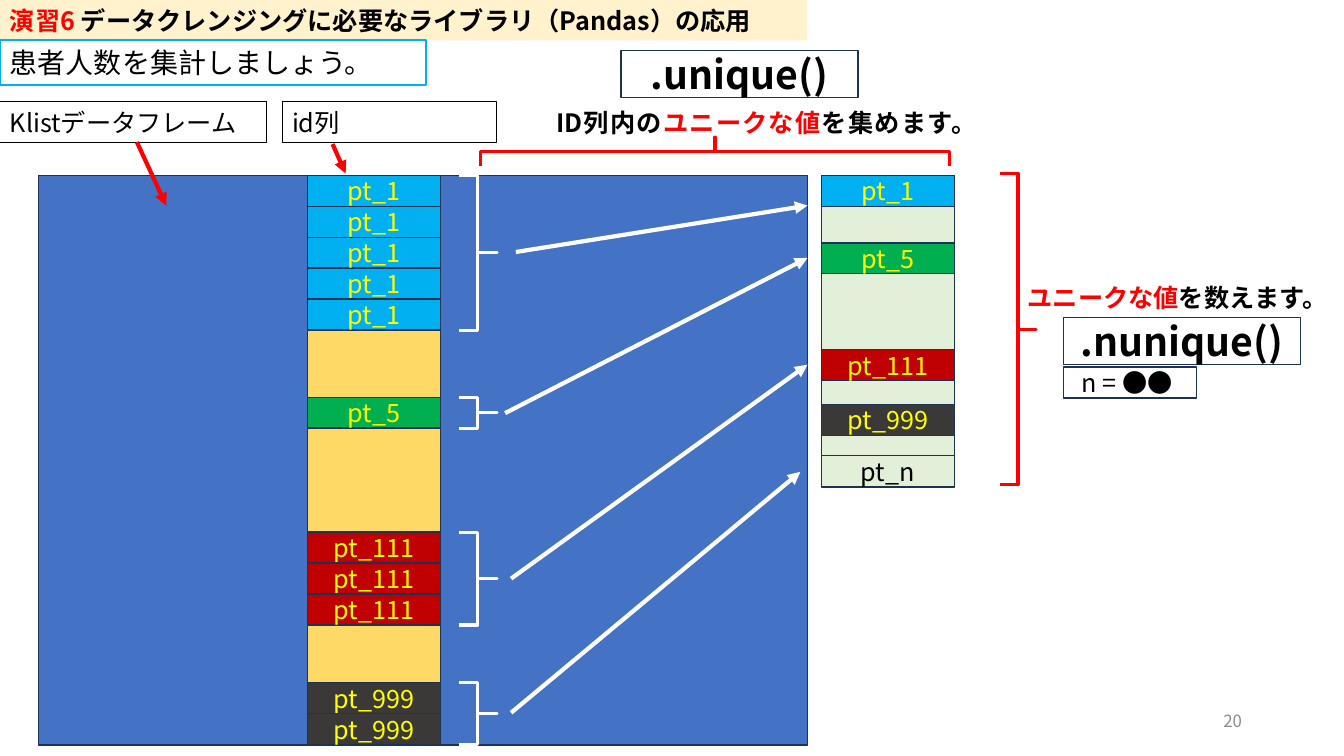
from lxml import etree
from pptx import Presentation
from pptx.dml.color import RGBColor
from pptx.enum import shapes, text
from pptx.oxml.ns import qn
from pptx.util import Cm, Pt

FONT = "Noto Sans CJK JP"
C = {
    "black": "000000", "white": "FFFFFF", "red": "FF0000", "yellow": "FFFF00",
    "grey": "8C8C8C", "navy": "1E3256", "blue": "4472C4", "sky": "00B0F0",
    "green": "00B050", "crimson": "C00000", "dark": "3B3838",
    "gold": "FFD966", "cream": "FFF2CC", "mint": "E2F0D9",
}
ALIGN = text.PP_ALIGN
TOP, MIDDLE = text.MSO_ANCHOR.TOP, text.MSO_ANCHOR.MIDDLE
ID_X, RESULT_X, COLUMN_W = 7.75, 20.7, 3.35
TABLE_Y, TABLE_H, RESULT_H = 4.42, 14.35, 7.85
ROW_H = 0.78

# label, colour, top in the id column, row count, top in the result column,
# arrow start, arrow end
PATIENTS = [
    ("pt_1", "sky", TABLE_Y, 5, TABLE_Y, (13, 6.35), (20.35, 5.18)),
    ("pt_5", "green", 10.01, 1, 6.12, (12.73, 10.41), (20.35, 6.5)),
    ("pt_111", "crimson", 13.41, 3, 8.81, (12.88, 14.58), (20.35, 9.19)),
    ("pt_999", "dark", 17.2, 2, 10.19, (12.88, 17.96), (20.17, 11.89)),
]


def rgb(name):
    return RGBColor.from_string(C[name])


def write(sp, runs, size=18, align=ALIGN.LEFT, anchor=TOP, bold=False):
    """Fill a shape with one paragraph made of (text, colour) runs."""
    tf = sp.text_frame
    tf.word_wrap = True
    tf.vertical_anchor = anchor
    p = tf.paragraphs[0]
    p.alignment = align
    p.font.size, p.font.bold, p.font.name = Pt(size), bold, FONT
    defaults = p._p.pPr.find(qn("a:defRPr"))
    etree.SubElement(defaults, qn("a:ea")).set("typeface", FONT)
    if len(runs) == 1:
        p.font.color.rgb = rgb(runs[0][1])
    for content, color in runs:
        r = p.add_run()
        r.text = content
        if len(runs) > 1:
            r.font.color.rgb = rgb(color)


def add_box(s, x, y, w, h, fill=None, line="navy", width=1):
    sp = s.shapes.add_shape(shapes.MSO_SHAPE.RECTANGLE, Cm(x), Cm(y), Cm(w), Cm(h))
    sp.shadow.inherit = False
    if fill:
        sp.fill.solid()
        sp.fill.fore_color.rgb = rgb(fill)
    else:
        sp.fill.background()
    if line:
        sp.line.color.rgb = rgb(line)
        sp.line.width = Pt(width)
    else:
        sp.line.fill.background()
    return sp


def add_cell(s, x, y, label, fill=None, color="yellow"):
    sp = add_box(s, x, y, COLUMN_W, ROW_H, fill)
    write(sp, [(label, color)], align=ALIGN.CENTER, anchor=MIDDLE)


def add_method(s, x, y, name):
    sp = add_box(s, x, y, 5.97, 1.19)
    write(sp, [(name, "black")], 28, ALIGN.CENTER, MIDDLE, bold=True)


def add_text(s, x, y, w, runs, **style):
    write(s.shapes.add_textbox(Cm(x), Cm(y), Cm(w), Cm(1.02)), runs, **style)


def add_brace(s, x, y, w, h, color, rotation=0):
    sp = s.shapes.add_shape(shapes.MSO_SHAPE.RIGHT_BRACE, Cm(x), Cm(y), Cm(w), Cm(h))
    sp.adjustments[0], sp.adjustments[1] = 0, 0.5
    sp.rotation = rotation
    sp.shadow.inherit = False
    sp.fill.background()
    sp.line.color.rgb = rgb(color)
    sp.line.width = Pt(2.25)


def add_arrow(s, start, end, color):
    points = [Cm(v) for v in (*start, *end)]
    cn = s.shapes.add_connector(shapes.MSO_CONNECTOR.STRAIGHT, *points)
    cn.line.color.rgb = rgb(color)
    cn.line.width = Pt(3)
    etree.SubElement(cn.line._get_or_add_ln(), qn("a:tailEnd")).set("type", "triangle")
    etree.SubElement(cn._element.spPr, qn("a:effectLst"))


def add_headings(s):
    title = add_box(s, 0, 0, 20.35, 1.02, "cream", line=None)
    write(title, [("演習6 ", "red"),
                  ("データクレンジングに必要なライブラリ（Pandas）の応用", "black")], bold=True)
    task = add_box(s, 0, 1.02, 10.74, 1.12, line="sky", width=1.5)
    write(task, [("患者人数を集計しましょう。", "black")], 20)


def add_dataframe(s):
    add_box(s, 0.97, TABLE_Y, 19.38, TABLE_H, "blue")
    add_box(s, ID_X, TABLE_Y, COLUMN_W, TABLE_H, "gold")
    for x, w, label, start, end in [
        (0, 6.71, "Klistデータフレーム", (3.45, 3.58), (4.19, 5.18)),
        (7.11, 5.41, "id列", (8.38, 3.63), (8.71, 4.37)),
    ]:
        write(add_box(s, x, 2.57, w, 1.02, line="black", width=0.75), [(label, "black")])
        add_arrow(s, start, end, "red")


def add_patients(s):
    add_box(s, RESULT_X, TABLE_Y, COLUMN_W, RESULT_H, "mint")
    for label, fill, y, count, result_y, start, end in PATIENTS:
        for row in range(count):
            add_cell(s, ID_X, y + row * ROW_H, label, fill)
        add_cell(s, RESULT_X, result_y, label, fill)
        add_brace(s, 11.56, y, 0.97, count * ROW_H, "white")
        add_arrow(s, start, end, "white")
    add_cell(s, RESULT_X, 11.48, "pt_n", color="black")


def add_explanations(s):
    add_method(s, 15.65, 1.27, ".unique()")
    add_text(s, 13.77, 2.57, 10.46,
             [("ID列内の", "black"), ("ユニークな値", "red"), ("を集めます。", "black")],
             align=ALIGN.JUSTIFY, bold=True)
    add_brace(s, 17.65, -2.08, 0.74, 11.81, "red", rotation=270)
    add_brace(s, 25.2, 4.37, 0.91, RESULT_H, "red")
    add_text(s, 25.65, 6.99, 8.26, [("ユニークな値", "red"), ("を数えます。", "black")],
             align=ALIGN.JUSTIFY, bold=True)
    add_method(s, 26.8, 8, ".nunique()")
    add_cell(s, 26.8, 9.25, "n = ●● ", color="black")


def main():
    prs = Presentation()
    prs.slide_width, prs.slide_height = Cm(33.87), Cm(19.05)
    s = prs.slides.add_slide(prs.slide_layouts[6])
    add_headings(s)
    add_dataframe(s)
    add_patients(s)
    add_explanations(s)
    add_text(s, 23.93, 17.65, 7.62, [("20", "grey")], size=12,
             align=ALIGN.RIGHT, anchor=MIDDLE)
    prs.save("out.pptx")


if __name__ == "__main__":
    main()
